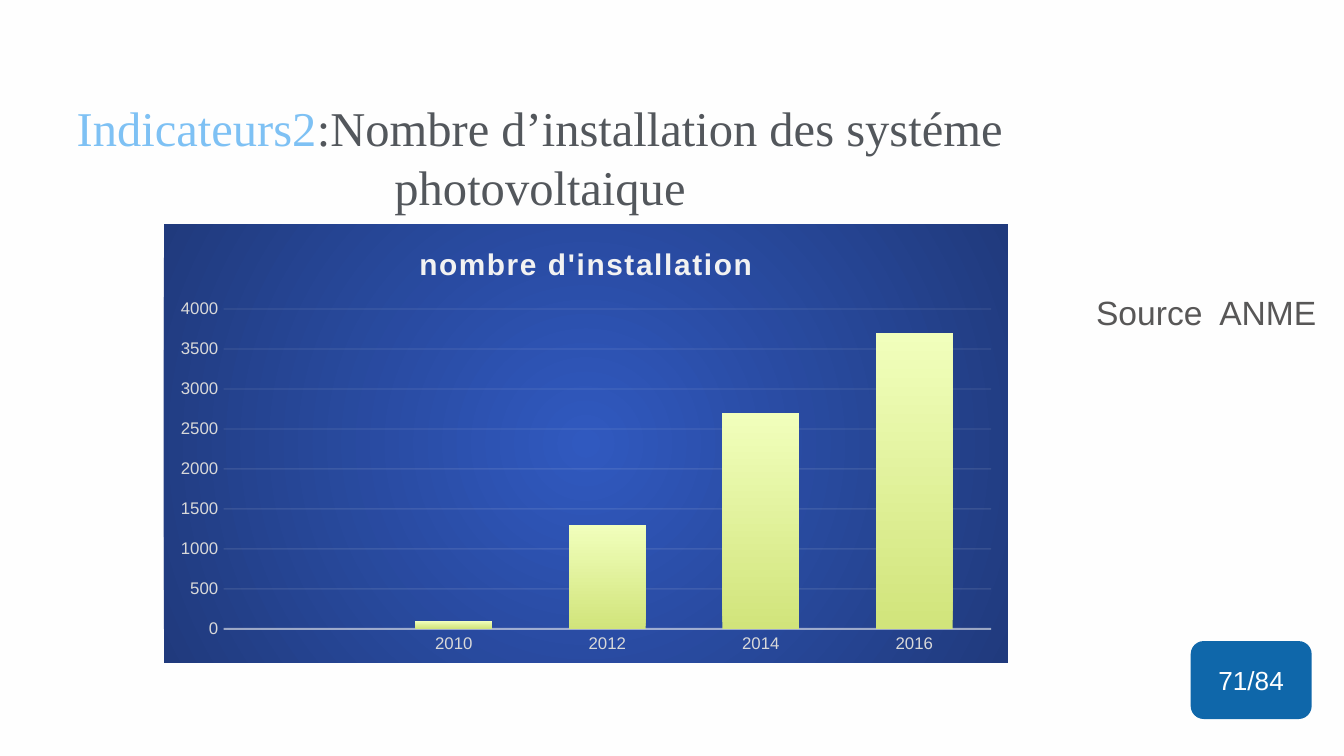
from lxml.etree import SubElement
from pptx import Presentation
from pptx.chart.data import CategoryChartData
from pptx.dml.color import RGBColor
from pptx.enum.chart import XL_CHART_TYPE, XL_TICK_MARK
from pptx.enum.shapes import MSO_SHAPE
from pptx.enum.text import MSO_ANCHOR, PP_ALIGN
from pptx.oxml import parse_xml
from pptx.oxml.ns import nsdecls, qn
from pptx.util import Inches, Pt

BACKGROUND = RGBColor(0xFE, 0xFE, 0xFE)
SKY = RGBColor(0x7E, 0xC1, 0xF4)
SLATE = RGBColor(0x53, 0x57, 0x5C)
GREY = RGBColor(0x58, 0x57, 0x57)
BADGE_BLUE = RGBColor(0x0F, 0x67, 0xAA)
WHITE = RGBColor(0xFF, 0xFF, 0xFF)
NAVY = RGBColor(0x13, 0x23, 0x4B)
CHART_CENTRE = RGBColor(0x30, 0x59, 0xBF)
CHART_EDGE = RGBColor(0x20, 0x3A, 0x7D)
LABEL_GREY = RGBColor(0xD9, 0xD9, 0xD9)
LIGHT = RGBColor(0xF2, 0xF2, 0xF2)
BAR_BOTTOM = RGBColor(0xD1, 0xE4, 0x7B)
BAR_TOP = RGBColor(0xF1, 0xFF, 0xBC)

SERIES_NAME = "nombre d'installation"
INSTALLATIONS = {"": None, "2010": 100, "2012": 1300, "2014": 2700, "2016": 3700}


def style_font(font, size, color, name="Arial", bold=False):
    """Set the size, colour, typeface and weight of a font."""
    font.size = Pt(size)
    font.color.rgb = color
    font.name = name
    font.bold = bold


def fill_text(shape, runs, size, name="Arial"):
    """Write coloured runs into one centred paragraph of a shape."""
    frame = shape.text_frame
    frame.word_wrap = True
    frame.vertical_anchor = MSO_ANCHOR.MIDDLE
    paragraph = frame.paragraphs[0]
    paragraph.alignment = PP_ALIGN.CENTER
    for text, color in runs:
        run = paragraph.add_run()
        run.text = text
        style_font(run.font, size, color, name)


def add_title(slide):
    """Place and fill the title placeholder."""
    title = slide.shapes.title
    title.left, title.top = Inches(-0.23), Inches(0.43)
    title.width, title.height = Inches(8.5), Inches(1.47)
    frame = title.text_frame
    frame.margin_left = frame.margin_right = Inches(0.1)
    frame.margin_top = frame.margin_bottom = Inches(0.1)
    runs = [
        ("Indicateurs2", SKY),
        (":Nombre d’installation des systéme photovoltaique", SLATE),
    ]
    fill_text(title, runs, 26, "Times New Roman")


def add_source(slide):
    """Add the source of the figures beside the chart."""
    box = slide.shapes.add_textbox(Inches(7.8), Inches(2.03), Inches(2.35), Inches(0.58))
    fill_text(box, [("Source  ANME", GREY)], 18)


def add_page_badge(slide):
    """Add the rounded page number badge."""
    badge = slide.shapes.add_shape(
        MSO_SHAPE.ROUNDED_RECTANGLE, Inches(8.86), Inches(4.77), Inches(0.9), Inches(0.58)
    )
    badge.shadow.inherit = False
    badge.fill.solid()
    badge.fill.fore_color.rgb = BADGE_BLUE
    badge.line.fill.background()
    fill_text(badge, [("71/84", WHITE)], 14)


def style_line(line, width, opacity):
    """Draw a light line with the given opacity in percent."""
    line.width = Pt(width)
    line.color.rgb = LIGHT
    for color in line._get_or_add_ln().iter(qn("a:srgbClr")):
        SubElement(color, qn("a:alpha")).set("val", str(opacity * 1000))


def fill_chart_area(chart):
    """Fill the chart area with a circular gradient."""
    properties = parse_xml(
        f'<c:spPr {nsdecls("c", "a")}><a:gradFill><a:gsLst>'
        f'<a:gs pos="0"><a:srgbClr val="{CHART_CENTRE}"/></a:gs>'
        f'<a:gs pos="100000"><a:srgbClr val="{CHART_EDGE}"/></a:gs></a:gsLst>'
        '<a:path path="circle"><a:fillToRect l="50000" t="50000" r="50000" b="50000"/>'
        "</a:path></a:gradFill><a:ln><a:noFill/></a:ln></c:spPr>"
    )
    chart.element.find(qn("c:txPr")).addprevious(properties)


def style_axes(chart):
    """Format both axes and the gridlines."""
    for axis in (chart.category_axis, chart.value_axis):
        axis.major_tick_mark = axis.minor_tick_mark = XL_TICK_MARK.NONE
        style_font(axis.tick_labels.font, 9, LABEL_GREY)
    style_line(chart.category_axis.format.line, 1, 54)
    values = chart.value_axis
    values.minimum_scale, values.maximum_scale, values.major_unit = 0, 4000, 500
    values.format.line.fill.background()
    style_line(values.major_gridlines.format.line, 0.75, 10)


def style_bars(plot):
    """Set the bar spacing and the vertical bar gradient."""
    plot.vary_by_categories = False
    plot.gap_width = 100
    plot.overlap = -24
    fill = plot.series[0].format.fill
    fill.gradient()
    fill.gradient_angle = 90
    for stop, position, color in zip(fill.gradient_stops, (0, 1), (BAR_BOTTOM, BAR_TOP)):
        stop.position = position
        stop.color.rgb = color


def add_installation_chart(slide):
    """Add the column chart of installations by year."""
    data = CategoryChartData()
    data.categories = list(INSTALLATIONS)
    data.add_series(SERIES_NAME, list(INSTALLATIONS.values()))
    chart = slide.shapes.add_chart(
        XL_CHART_TYPE.COLUMN_CLUSTERED,
        Inches(1.22), Inches(1.67), Inches(6.28), Inches(3.26), data,
    ).chart
    style_font(chart.font, 10, NAVY)
    chart.has_legend = False
    chart.has_title = True
    chart.chart_title.include_in_layout = False
    run = chart.chart_title.text_frame.paragraphs[0].add_run()
    run.text = SERIES_NAME
    style_font(run.font, 16, LIGHT, bold=True)
    run._r.get_or_add_rPr().set("spc", "100")
    fill_chart_area(chart)
    style_axes(chart)
    style_bars(chart.plots[0])


def main():
    """Build and save the slide."""
    presentation = Presentation()
    presentation.slide_width = Inches(10)
    presentation.slide_height = presentation.slide_width * 9 // 16
    slide = presentation.slides.add_slide(presentation.slide_layouts[5])
    slide.background.fill.solid()
    slide.background.fill.fore_color.rgb = BACKGROUND
    add_title(slide)
    add_source(slide)
    add_installation_chart(slide)
    add_page_badge(slide)
    presentation.save("out.pptx")


if __name__ == "__main__":
    main()
